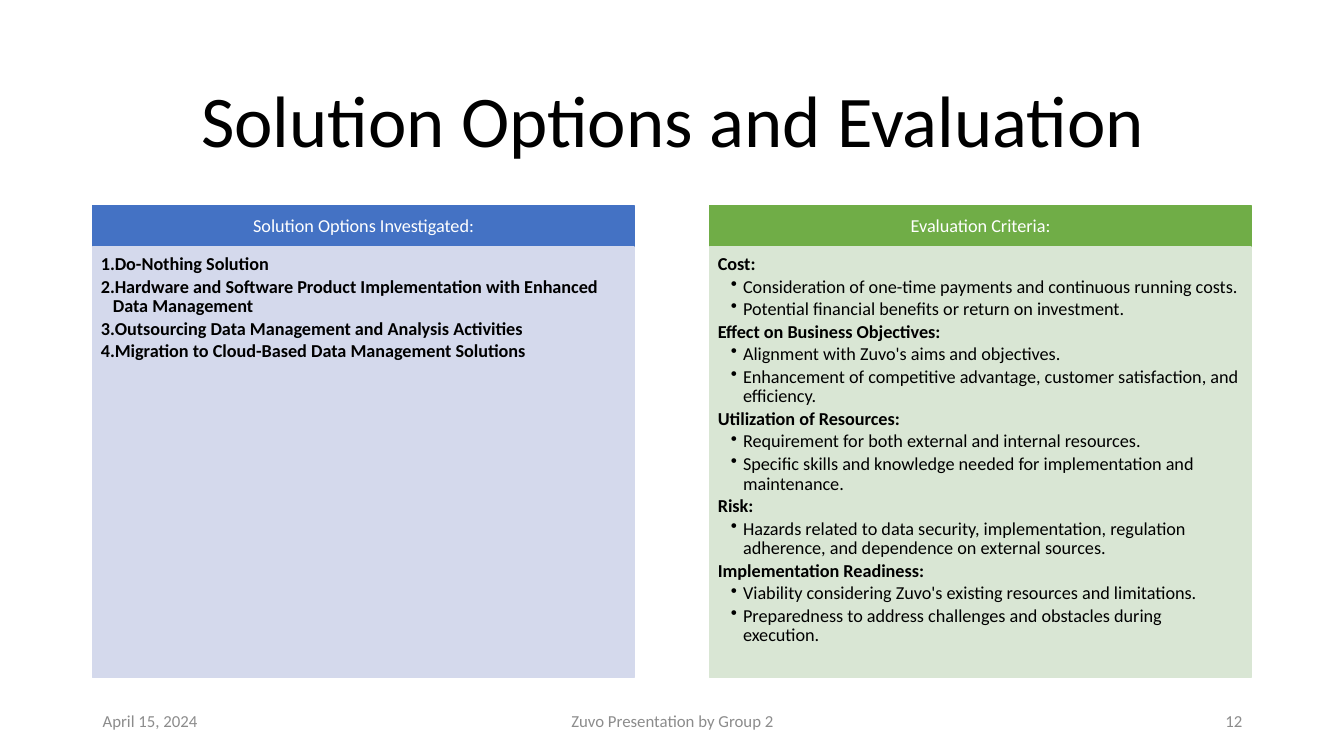
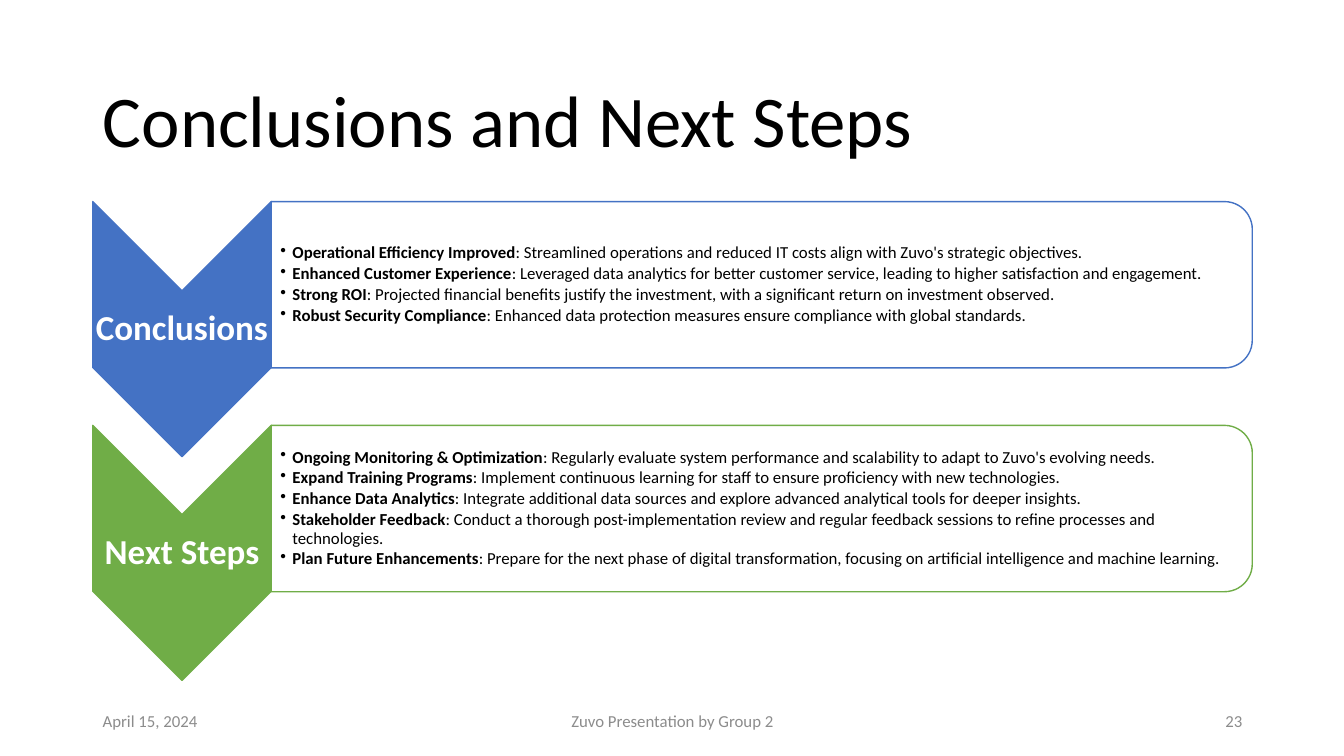
"""Builds two slides: solution options with criteria, and conclusions with next steps."""
from dataclasses import dataclass

from lxml import etree
from pptx import Presentation
from pptx.dml.color import RGBColor
from pptx.enum.shapes import MSO_SHAPE
from pptx.enum.text import MSO_ANCHOR, MSO_AUTO_SIZE, PP_ALIGN
from pptx.oxml.ns import qn
from pptx.util import Inches, Pt

LEFT, CENTER, RIGHT = PP_ALIGN.LEFT, PP_ALIGN.CENTER, PP_ALIGN.RIGHT
TOP, MIDDLE = MSO_ANCHOR.TOP, MSO_ANCHOR.MIDDLE
RECTANGLE, CHEVRON = MSO_SHAPE.RECTANGLE, MSO_SHAPE.CHEVRON
ROUNDED_END = MSO_SHAPE.ROUND_2_SAME_RECTANGLE
FIXED_SIZE = MSO_AUTO_SIZE.NONE


@dataclass(frozen=True)
class Theme:
    font: str = "Calibri"
    black: str = "000000"
    white: str = "FFFFFF"
    grey: str = "8C8C8C"
    blue: str = "4472C4"
    green: str = "70AD47"
    pale_blue: str = "D4D9EC"
    pale_green: str = "D9E6D4"
    title: int = 52
    label: int = 25
    body: int = 13
    small: int = 12


THEME = Theme()


def add_block(slide, kind, place, fill, line, rotation=0):
    block = slide.shapes.add_shape(kind, *map(Inches, place))
    block.rotation = rotation
    block.shadow.inherit = False
    block.fill.solid()
    block.fill.fore_color.rgb = RGBColor.from_string(fill)
    block.line.color.rgb = RGBColor.from_string(line)
    block.line.width = Pt(1)
    return block


def write(holder, entries, size, colour, align=LEFT, anchor=MIDDLE,
          margins=(0.1, 0.05, 0.1, 0.05), spacing=0.9, after=0):
    """Each entry is (bold text, plain text, bullet, indent)."""
    frame = holder.text_frame
    frame.word_wrap = True
    frame.auto_size = FIXED_SIZE
    frame.vertical_anchor = anchor
    (frame.margin_left, frame.margin_top,
     frame.margin_right, frame.margin_bottom) = map(Inches, margins)
    for index, (strong, plain, bullet, indent) in enumerate(entries):
        paragraph = frame.paragraphs[0] if index == 0 else frame.add_paragraph()
        paragraph.alignment = align
        paragraph.line_spacing = spacing
        paragraph.space_before = Pt(0)
        paragraph.space_after = Pt(after)
        if indent:
            properties = paragraph._p.get_or_add_pPr()
            properties.set("marL", str(Inches(indent)))
            properties.set("indent", str(-Inches(0.12)))
            if bullet == "1.":
                etree.SubElement(properties, qn("a:buAutoNum"), type="arabicPeriod")
            elif bullet:
                etree.SubElement(properties, qn("a:buChar"), char=bullet)
            else:
                etree.SubElement(properties, qn("a:buNone"))
        paragraph.font.name = THEME.font
        paragraph.font.size = Pt(size)
        paragraph.font.color.rgb = RGBColor.from_string(colour)
        if not (strong and plain):
            paragraph.font.bold = bool(strong)
        for text, bold in ((strong, True), (plain, False)):
            if text:
                run = paragraph.add_run()
                run.text = text
                if strong and plain:
                    run.font.bold = bold


deck = Presentation()
deck.slide_width, deck.slide_height = Inches(13.33), Inches(7.5)

slides = []
for title, title_align, page in (
    ("Solution Options and Evaluation", CENTER, "12"),
    ("Conclusions and Next Steps", LEFT, "23"),
):
    slide = deck.slides.add_slide(deck.slide_layouts[5])
    heading = slide.shapes.title
    heading.left, heading.top = Inches(0.92), Inches(0.61)
    heading.width, heading.height = Inches(11.5), Inches(1.24)
    write(heading, [("", title, "", 0)], THEME.title, THEME.black, title_align)
    for text, left, width, align in (
        ("April 15, 2024", 0.92, 3, LEFT),
        ("Zuvo Presentation by Group 2", 4.42, 4.5, CENTER),
        (page, 9.42, 3, RIGHT),
    ):
        footer = slide.shapes.add_textbox(
            Inches(left), Inches(6.95), Inches(width), Inches(0.4))
        write(footer, [("", text, "", 0)], THEME.small, THEME.grey, align, spacing=1.0)
    slides.append(slide)
options_slide, conclusions_slide = slides

options = [(option, "", "1.", 0.12) for option in (
    "Do-Nothing Solution",
    "Hardware and Software Product Implementation with Enhanced Data Management",
    "Outsourcing Data Management and Analysis Activities",
    "Migration to Cloud-Based Data Management Solutions",
)]
criteria = []
for criterion, details in (
    ("Cost:", (
        "Consideration of one-time payments and continuous running costs.",
        "Potential financial benefits or return on investment.")),
    ("Effect on Business Objectives:", (
        "Alignment with Zuvo's aims and objectives.",
        "Enhancement of competitive advantage, customer satisfaction, and efficiency.")),
    ("Utilization of Resources:", (
        "Requirement for both external and internal resources.",
        "Specific skills and knowledge needed for implementation and maintenance.")),
    ("Risk:", (
        "Hazards related to data security, implementation, regulation adherence, "
        "and dependence on external sources.",)),
    ("Implementation Readiness:", (
        "Viability considering Zuvo's existing resources and limitations.",
        "Preparedness to address challenges and obstacles during execution.")),
):
    criteria.append((criterion, "", "", 0.12))
    criteria += [("", detail, "•", 0.25) for detail in details]

for column, (caption, entries, strong_colour, pale_colour) in enumerate((
    ("Solution Options Investigated:", options, THEME.blue, THEME.pale_blue),
    ("Evaluation Criteria:", criteria, THEME.green, THEME.pale_green),
)):
    left = 0.92 + column * 6.12
    header = add_block(options_slide, RECTANGLE, (left, 2.04, 5.37, 0.41),
                       strong_colour, strong_colour)
    write(header, [("", caption, "", 0)], THEME.body, THEME.white, CENTER)
    panel = add_block(options_slide, RECTANGLE, (left, 2.45, 5.37, 4.27),
                      pale_colour, pale_colour)
    write(panel, entries, THEME.body, THEME.black, anchor=TOP,
          margins=(0.08, 0.08, 0.1, 0.11), after=2)

conclusions = (
    ("Operational Efficiency Improved",
     ": Streamlined operations and reduced IT costs align with Zuvo's strategic objectives."),
    ("Enhanced Customer Experience",
     ": Leveraged data analytics for better customer service, "
     "leading to higher satisfaction and engagement."),
    ("Strong ROI",
     ": Projected financial benefits justify the investment, "
     "with a significant return on investment observed."),
    ("Robust Security Compliance",
     ": Enhanced data protection measures ensure compliance with global standards."),
)
next_steps = (
    ("Ongoing Monitoring & Optimization",
     ": Regularly evaluate system performance and scalability "
     "to adapt to Zuvo's evolving needs."),
    ("Expand Training Programs",
     ": Implement continuous learning for staff to ensure proficiency with new technologies."),
    ("Enhance Data Analytics",
     ": Integrate additional data sources and explore advanced analytical tools "
     "for deeper insights."),
    ("Stakeholder Feedback",
     ": Conduct a thorough post-implementation review and regular feedback sessions "
     "to refine processes and technologies."),
    ("Plan Future Enhancements",
     ": Prepare for the next phase of digital transformation, "
     "focusing on artificial intelligence and machine learning."),
)
for row, (stage, points, colour) in enumerate((
    ("Conclusions", conclusions, THEME.blue),
    ("Next Steps", next_steps, THEME.green),
)):
    offset = row * 2.22
    add_block(conclusions_slide, CHEVRON, (0.54, 2.38 + offset, 2.53, 1.77),
              colour, colour, 90)
    stage_label = conclusions_slide.shapes.add_textbox(
        Inches(0.92), Inches(2.89 + offset), Inches(1.77), Inches(0.76))
    write(stage_label, [(stage, "", "", 0)], THEME.label, THEME.white, CENTER,
          margins=(0.02,) * 4)
    add_block(conclusions_slide, ROUNDED_END, (6.73, -2.04 + offset, 1.65, 9.73),
              THEME.white, colour, 90)
    stage_points = conclusions_slide.shapes.add_textbox(
        Inches(2.69), Inches(2.08 + offset), Inches(9.65), Inches(1.49))
    write(stage_points, [(topic, detail, "•", 0.12) for topic, detail in points],
          THEME.small, THEME.black, margins=(0.09, 0.01, 0.01, 0.01), after=2)

deck.save("out.pptx")
